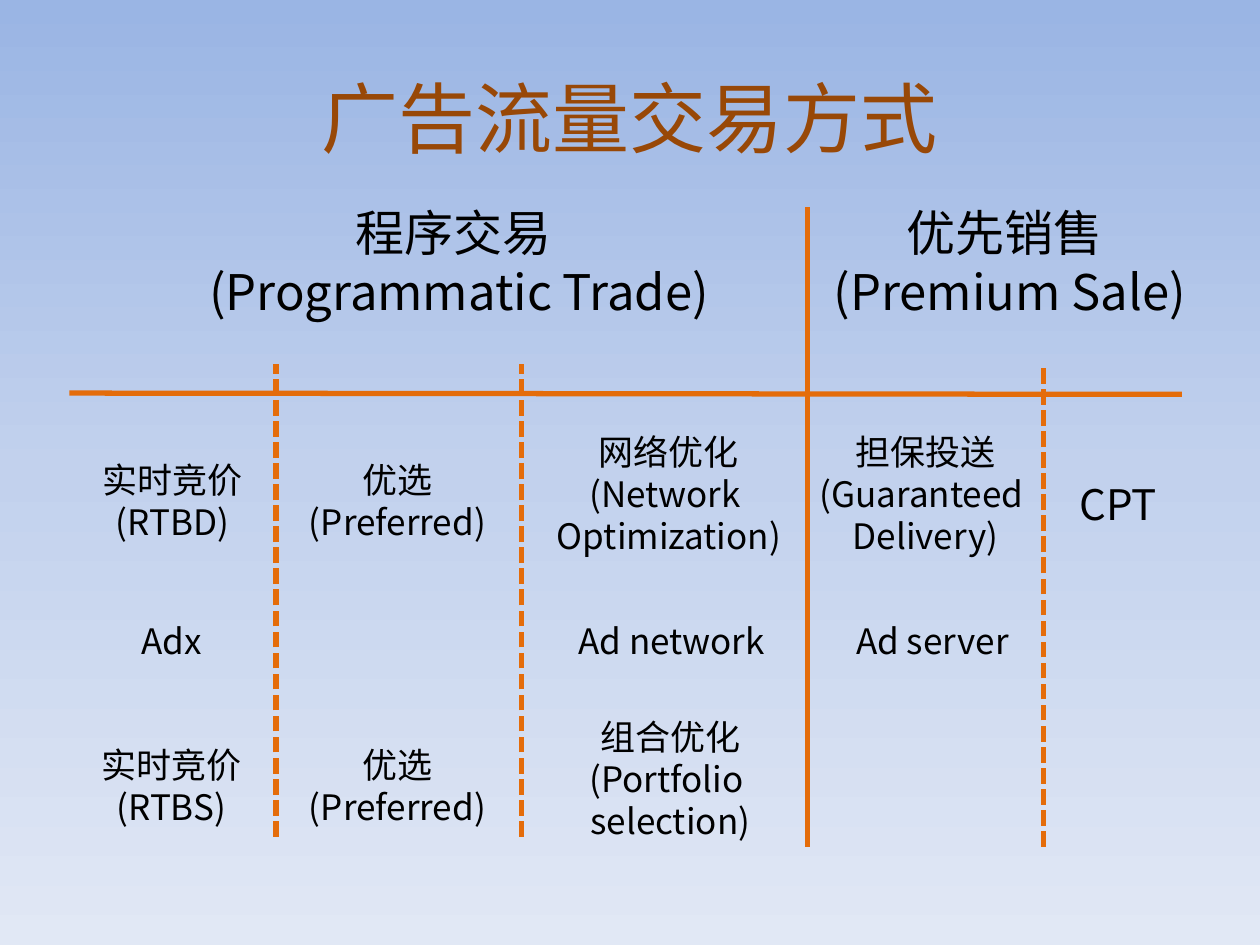
from copy import deepcopy

from lxml.etree import SubElement
from pptx import Presentation
from pptx.dml.color import RGBColor
from pptx.enum.dml import MSO_LINE
from pptx.enum.shapes import MSO_CONNECTOR
from pptx.enum.text import MSO_ANCHOR, MSO_AUTO_SIZE, PP_ALIGN
from pptx.oxml.ns import qn
from pptx.util import Pt

PX = 9144  # EMU per px, 100 px to the inch
FONT = "Noto Sans CJK SC"
BROWN = RGBColor(0x98, 0x48, 0x07)
ORANGE = RGBColor(0xE4, 0x6C, 0x0A)
BLACK = RGBColor(0, 0, 0)
SKY = [
    (0, RGBColor(0x9A, 0xB5, 0xE4)),
    (0.5, RGBColor(0xC2, 0xD1, 0xED)),
    (1, RGBColor(0xE1, 0xE8, 0xF5)),
]

TITLE = "广告流量交易方式"

# Each label: centre x, width, lines
HEADINGS = [
    (360, 438, ["程序交易", " (Programmatic Trade)"]),
    (797, 316, ["优先销售", " (Premium Sale)"]),
]
DEMAND_METHODS = [
    (137, 132, ["实时竞价", "(RTBD)"]),
    (315, 163, ["优选", "(Preferred)"]),
    (531, 500, ["网络优化", "(Network ", "Optimization)"]),
    (734, 195, ["担保投送", "(Guaranteed ", "Delivery)"]),
]
TIME_METHODS = [(887, 133, ["CPT"])]
PLATFORMS = [
    (136, 72, ["Adx"]),
    (533, 176, ["Ad network"]),
    (740, 148, ["Ad server"]),
]
SUPPLY_METHODS = [
    (136, 132, ["实时竞价", "(RTBS)"]),
    (315, 163, ["优选", "(Preferred)"]),
    (532, 154, ["组合优化", "(Portfolio ", "selection)"]),
]

# Each row: middle y, text size, line height, labels
ROWS = [
    (208, 28, 47, HEADINGS),
    (400, 24, 40, TIME_METHODS),
    (509, 20, 34, PLATFORMS),
]
# Rows whose labels have different line counts: two-line and three-line middle y
STACKED_ROWS = [
    ({2: 398, 3: 393}, DEMAND_METHODS),
    ({2: 624, 3: 619}, SUPPLY_METHODS),
]

# Each divider: start x, start y, end x, end y, dashed
DIVIDERS = [
    (55, 312, 938, 313, False),
    (641, 672, 641, 164, False),
    (414, 664, 414, 289, True),
    (219, 664, 219, 289, True),
    (828, 672, 828, 289, True),
]


def px(*lengths):
    return [length * PX for length in lengths]


def format_paragraph(para, size, color):
    para.alignment = PP_ALIGN.CENTER
    para.font.size = Pt(size)
    para.font.color.rgb = color
    para.font.name = FONT
    east_asian = SubElement(para.font._element, qn("a:ea"))
    east_asian.set("typeface", FONT)


def paint_background(page):
    fill = page.background.fill
    fill.gradient()
    fill.gradient_angle = 270
    stop_list = fill.gradient_stops[0]._gs.getparent()
    stop_list.insert(1, deepcopy(stop_list[0]))
    for stop, (position, color) in zip(fill.gradient_stops, SKY):
        stop.position = position
        stop.color.rgb = color


def add_title(page):
    title = page.shapes.title
    title.left, title.top, title.width, title.height = px(50, 30, 900, 125)
    frame = title.text_frame
    frame.text = TITLE
    frame.vertical_anchor = MSO_ANCHOR.MIDDLE
    format_paragraph(frame.paragraphs[0], 44, BROWN)


def add_divider(page, x1, y1, x2, y2, dashed):
    divider = page.shapes.add_connector(MSO_CONNECTOR.STRAIGHT, *px(x1, y1, x2, y2))
    divider.line.color.rgb = ORANGE
    divider.line.width = Pt(3)
    if dashed:
        divider.line.dash_style = MSO_LINE.SQUARE_DOT
    SubElement(divider._element.spPr, qn("a:effectLst"))


def add_label(page, center, middle, width, size, line_height, lines):
    height = line_height * len(lines) + 10
    box = page.shapes.add_textbox(
        *px(center - width // 2, middle - height // 2, width, height)
    )
    frame = box.text_frame
    frame.word_wrap = False
    frame.auto_size = MSO_AUTO_SIZE.SHAPE_TO_FIT_TEXT
    frame.text = "\n".join(lines)
    for para in frame.paragraphs:
        format_paragraph(para, size, BLACK)


def main():
    deck = Presentation()
    deck.slide_width, deck.slide_height = px(1000, 750)
    page = deck.slides.add_slide(deck.slide_layouts[5])
    paint_background(page)
    add_title(page)
    for divider in DIVIDERS:
        add_divider(page, *divider)
    for middle, size, line_height, labels in ROWS:
        for center, width, lines in labels:
            add_label(page, center, middle, width, size, line_height, lines)
    for middles, labels in STACKED_ROWS:
        for center, width, lines in labels:
            add_label(page, center, middles[len(lines)], width, 20, 34, lines)
    deck.save("out.pptx")


if __name__ == "__main__":
    main()
